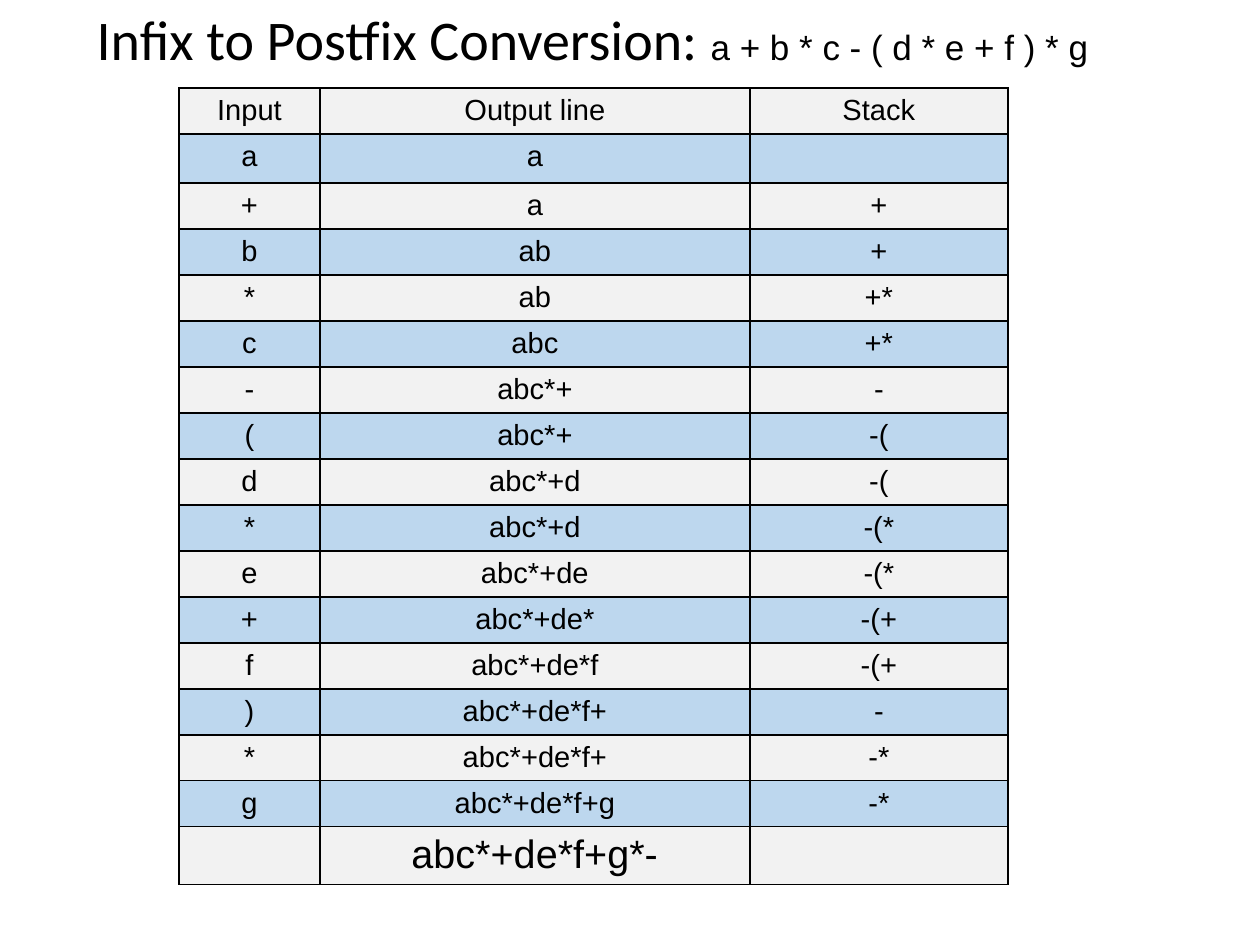
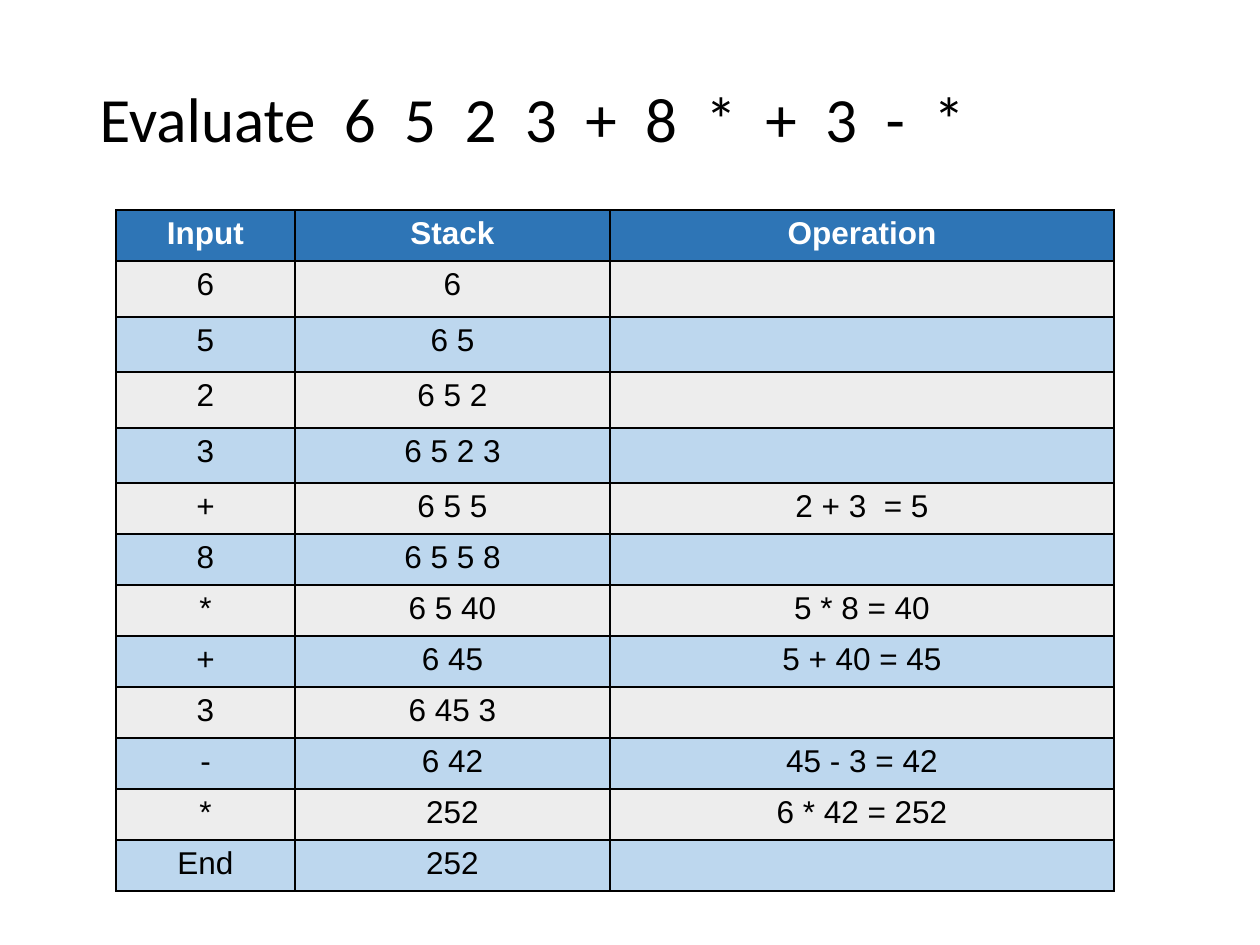
from lxml import etree
from pptx import Presentation
from pptx.dml.color import RGBColor
from pptx.enum.text import MSO_ANCHOR, MSO_AUTO_SIZE, PP_ALIGN
from pptx.oxml.ns import qn
from pptx.util import Emu, Pt

LEFT = PP_ALIGN.LEFT
CENTER = PP_ALIGN.CENTER
MIDDLE = MSO_ANCHOR.MIDDLE
NO_AUTOFIT = MSO_AUTO_SIZE.NONE

BLACK = RGBColor(0x00, 0x00, 0x00)
WHITE = RGBColor(0xFF, 0xFF, 0xFF)
HEADER_BLUE = RGBColor(0x2E, 0x75, 0xB6)
PALE_BLUE = RGBColor(0xBD, 0xD7, 0xEE)
PALE_GRAY = RGBColor(0xF2, 0xF2, 0xF2)
MID_GRAY = RGBColor(0xED, 0xED, 0xED)

TITLE_FONT = "Calibri"
BODY_FONT = "Arial"
EMU_PER_PIXEL = 914400 / 126
TITLE_ONLY = 5

CONVERSION_STEPS = [
    ("Input", "Output line", "Stack"),
    ("a", "a", ""),
    ("+", "a", "+"),
    ("b", "ab", "+"),
    ("*", "ab", "+*"),
    ("c", "abc", "+*"),
    ("-", "abc*+", "-"),
    ("(", "abc*+", "-("),
    ("d", "abc*+d", "-("),
    ("*", "abc*+d", "-(*"),
    ("e", "abc*+de", "-(*"),
    ("+", "abc*+de*", "-(+"),
    ("f", "abc*+de*f", "-(+"),
    (")", "abc*+de*f+", "-"),
    ("*", "abc*+de*f+", "-*"),
    ("g", "abc*+de*f+g", "-*"),
    ("", "abc*+de*f+g*-", ""),
]

EVALUATION_STEPS = [
    ("Input", "Stack", "Operation"),
    ("6", "6", ""),
    ("5", "6 5", ""),
    ("2", "6 5 2", ""),
    ("3", "6 5 2 3", ""),
    ("+", "6 5 5", "2 + 3  = 5"),
    ("8", "6 5 5 8", ""),
    ("*", "6 5 40", "5 * 8 = 40"),
    ("+", "6 45", "5 + 40 = 45"),
    ("3", "6 45 3", ""),
    ("-", "6 42", "45 - 3 = 42"),
    ("*", "252", "6 * 42 = 252"),
    ("End", "252", ""),
]


def px(pixels):
    return Emu(round(pixels * EMU_PER_PIXEL))


def apply(target, values):
    for attribute, value in values.items():
        setattr(target, attribute, value)


def add_run(paragraph, text, font, size, color=BLACK, bold=False):
    run = paragraph.add_run()
    run.text = text
    apply(run.font, {"name": font, "size": Pt(size), "bold": bold})
    run.font.color.rgb = color


def add_title(slide, box, runs, bottom_inset=6):
    title = slide.shapes.title
    apply(title, dict(zip(("left", "top", "width", "height"), map(px, box))))
    apply(title.text_frame, {
        "word_wrap": True,
        "auto_size": NO_AUTOFIT,
        "vertical_anchor": MIDDLE,
        "margin_bottom": px(bottom_inset),
    })
    paragraph = title.text_frame.paragraphs[0]
    apply(paragraph, {"alignment": LEFT, "line_spacing": 0.9})
    for text, font, size in runs:
        add_run(paragraph, text, font, size)


def add_borders(cell):
    properties = cell._tc.get_or_add_tcPr()
    for position, side in enumerate(("lnL", "lnR", "lnT", "lnB")):
        line = etree.Element(qn(f"a:{side}"), w=str(Pt(1)))
        fill = etree.SubElement(line, qn("a:solidFill"))
        etree.SubElement(fill, qn("a:srgbClr"), val=str(BLACK))
        properties.insert(position, line)


def fill_cell(cell, text, fill, size, color, bold):
    cell.fill.solid()
    cell.fill.fore_color.rgb = fill
    add_borders(cell)
    paragraph = cell.text_frame.paragraphs[0]
    paragraph.alignment = CENTER
    if text:
        add_run(paragraph, text, BODY_FONT, size, color, bold)
    else:
        etree.SubElement(paragraph._p, qn("a:endParaRPr"), sz=str(round(size * 100)))


def add_trace_table(slide, origin, widths, heights, steps, bands, size,
                    header=None, result_size=None):
    left, top = origin
    table = slide.shapes.add_table(
        len(steps), len(widths), px(left), px(top),
        px(sum(widths)), px(sum(heights))).table
    apply(table, {"first_row": False, "horz_banding": False})
    for column, width in zip(table.columns, widths):
        column.width = px(width)
    for index, (row, height, step) in enumerate(zip(table.rows, heights, steps)):
        row.height = px(height)
        is_header = header is not None and index == 0
        is_result = result_size is not None and index == len(steps) - 1
        fill = header if is_header else bands[index % 2]
        color = WHITE if is_header else BLACK
        for cell, text in zip(row.cells, step):
            text_size = result_size if is_result and text else size
            fill_cell(cell, text, fill, text_size, color, is_header)


def add_conversion_slide(deck):
    slide = deck.slides.add_slide(deck.slide_layouts[TITLE_ONLY])
    add_title(slide, (84, 0, 1081, 84), [
        ("Infix to Postfix Conversion: ", TITLE_FONT, 32),
        ("a + b * c - ( d * e + f ) * g", BODY_FONT, 20),
    ])
    add_trace_table(slide, (179, 88), (141, 430, 258),
                    [46, 49] + [46] * 14 + [58], CONVERSION_STEPS,
                    (PALE_GRAY, PALE_BLUE), 16.67, result_size=22.67)


def add_evaluation_slide(deck):
    slide = deck.slides.add_slide(deck.slide_layouts[TITLE_ONLY])
    add_title(slide, (87, 50, 1086, 183), [
        ("Evaluate  6  5  2  3  +  8  *  +  3  -  *", TITLE_FONT, 36),
    ], bottom_inset=46)
    add_trace_table(slide, (116, 210), (179, 315, 504),
                    [51] + [56, 55] * 2 + [51] * 8, EVALUATION_STEPS,
                    (PALE_BLUE, MID_GRAY), 18, header=HEADER_BLUE)


def main():
    deck = Presentation()
    apply(deck, {"slide_width": px(1260), "slide_height": px(945)})
    add_conversion_slide(deck)
    add_evaluation_slide(deck)
    deck.save("out.pptx")


main()
